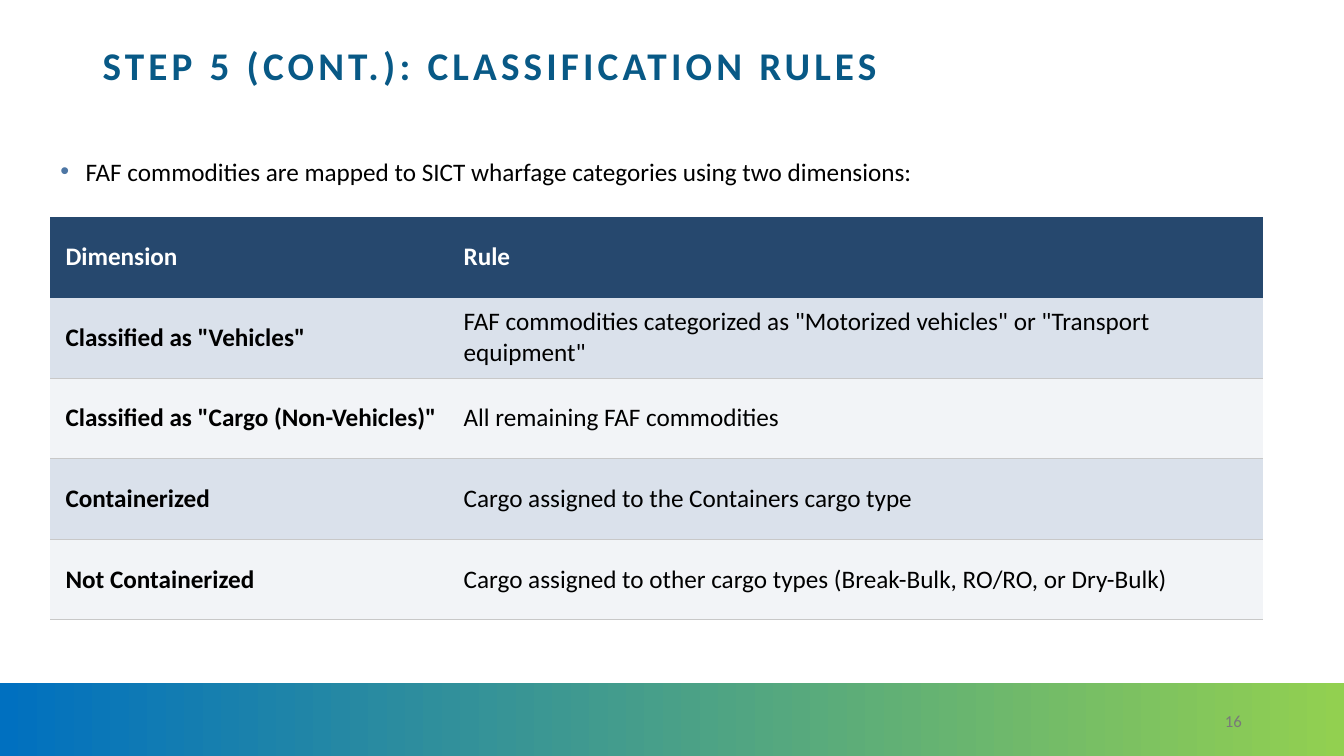
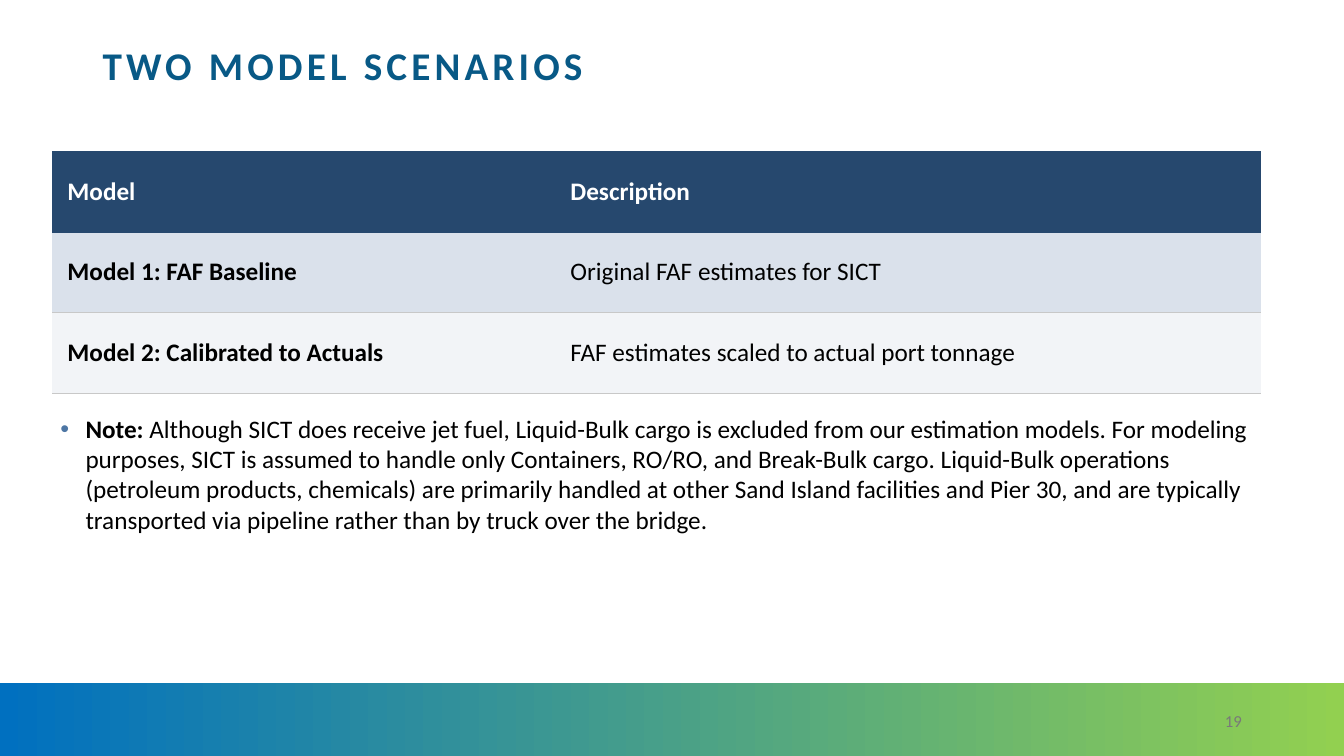
"""Build two slides on freight classification rules and model scenarios."""
from dataclasses import dataclass

from lxml import etree
from pptx import Presentation
from pptx.dml.color import RGBColor
from pptx.enum import shapes, text
from pptx.oxml.ns import qn
from pptx.util import Pt


@dataclass(frozen=True)
class Theme:
    font: str = "Calibri"
    title: str = "085986"
    header: str = "26486E"
    stripes: tuple = ("DAE1EB", "F2F4F7")
    rule: str = "C8C8C8"
    bullet: str = "4D76A4"
    black: str = "000000"
    white: str = "FFFFFF"
    number: str = "797979"
    band: tuple = ("0070C0", "92D050")
    title_size: int = 28
    body_size: int = 18
    number_size: int = 12


THEME = Theme()
WIDTH, HEIGHT = 960, 540
ROW_HEIGHT = 57.6

SLIDES = [
    {
        "title": "STEP 5 (CONT.): CLASSIFICATION RULES",
        "number": "16",
        "table": {
            "left": 36,
            "top": 154.8,
            "columns": (284.4, 581.8),
            "rows": [
                ("Dimension", "Rule"),
                ('Classified as "Vehicles"',
                 'FAF commodities categorized as "Motorized vehicles" or "Transport equipment"'),
                ('Classified as "Cargo (Non-Vehicles)"', "All remaining FAF commodities"),
                ("Containerized", "Cargo assigned to the Containers cargo type"),
                ("Not Containerized",
                 "Cargo assigned to other cargo types (Break-Bulk, RO/RO, or Dry-Bulk)"),
            ],
        },
        "bullet": {
            "top": 108,
            "height": 36,
            "runs": [("FAF commodities are mapped to SICT wharfage categories "
                      "using two dimensions:", False)],
        },
    },
    {
        "title": "TWO MODEL SCENARIOS",
        "number": "19",
        "table": {
            "left": 37.4,
            "top": 108,
            "columns": (359.3, 504),
            "rows": [
                ("Model", "Description"),
                ("Model 1: FAF Baseline", "Original FAF estimates for SICT"),
                ("Model 2: Calibrated to Actuals", "FAF estimates scaled to actual port tonnage"),
            ],
        },
        "bullet": {
            "top": 291.6,
            "height": 116,
            "runs": [
                ("Note:", True),
                (" Although SICT does receive jet fuel, Liquid-Bulk cargo is excluded from our "
                 "estimation models. For modeling purposes, SICT is assumed to handle only "
                 "Containers, RO/RO, and Break-Bulk cargo. Liquid-Bulk operations (petroleum "
                 "products, chemicals) are primarily handled at other Sand Island facilities and "
                 "Pier 30, and are typically transported via pipeline rather than by truck over "
                 "the bridge.", False),
            ],
        },
    },
]


def rgb(value):
    return RGBColor.from_string(value)


def add_color(parent, tag, value):
    holder = etree.SubElement(parent, qn(tag))
    etree.SubElement(holder, qn("a:srgbClr"), val=value)


def format_run(run, size, color, bold=False):
    run.font.name = THEME.font
    run.font.size = Pt(size)
    run.font.color.rgb = rgb(color)
    run.font.bold = bold


def add_text_box(slide, left, top, width, height, anchor=text.MSO_ANCHOR.TOP):
    box = slide.shapes.add_textbox(Pt(left), Pt(top), Pt(width), Pt(height))
    box.text_frame.word_wrap = True
    box.text_frame.vertical_anchor = anchor
    return box.text_frame.paragraphs[0]


def add_band(slide):
    band = slide.shapes.add_shape(
        shapes.MSO_SHAPE.RECTANGLE, 0, Pt(487.6), Pt(WIDTH), Pt(54.6))
    band.shadow.inherit = False
    band.line.fill.background()
    band.fill.gradient()
    band.fill.gradient_angle = 0
    for stop, color in zip(band.fill.gradient_stops, THEME.band):
        stop.color.rgb = rgb(color)


def add_title(slide, title):
    paragraph = add_text_box(slide, 66.2, 28.8, 828, 38.9, text.MSO_ANCHOR.MIDDLE)
    paragraph.text = title
    paragraph.line_spacing = 0.9
    run = paragraph.runs[0]
    format_run(run, THEME.title_size, THEME.title, True)
    run.font._element.set("spc", "300")


def add_number(slide, number):
    paragraph = add_text_box(slide, 678.2, 500.4, 216, 28.8, text.MSO_ANCHOR.MIDDLE)
    paragraph.text = number
    paragraph.alignment = text.PP_ALIGN.RIGHT
    format_run(paragraph.runs[0], THEME.number_size, THEME.number)


def add_bullet(slide, top, height, runs):
    paragraph = add_text_box(slide, 36, top, 888, height)
    paragraph.space_after = Pt(8)
    properties = paragraph._p.get_or_add_pPr()
    properties.set("marL", str(Pt(18)))
    properties.set("indent", str(-Pt(18)))
    add_color(properties, "a:buClr", THEME.bullet)
    etree.SubElement(properties, qn("a:buFont"), typeface="Arial")
    etree.SubElement(properties, qn("a:buChar"), char="•")
    for words, bold in runs:
        run = paragraph.add_run()
        run.text = words
        format_run(run, THEME.body_size, THEME.black, bold)


def set_bottom_border(cell, color, width):
    border = etree.Element(qn("a:lnB"), w=str(Pt(width)))
    add_color(border, "a:solidFill", color)
    cell._tc.get_or_add_tcPr().insert(0, border)


def add_table(slide, left, top, columns, rows):
    frame = slide.shapes.add_table(
        len(rows), len(columns), Pt(left), Pt(top),
        Pt(sum(columns)), Pt(ROW_HEIGHT * len(rows)))
    no_grid_style = "{2D5ABB26-0587-4C30-8999-92F81FD0307C}"
    frame._element.find(".//" + qn("a:tableStyleId")).text = no_grid_style
    table = frame.table
    for column, width in zip(table.columns, columns):
        column.width = Pt(width)
    for row_index, row in enumerate(rows):
        table.rows[row_index].height = Pt(ROW_HEIGHT)
        is_header = row_index == 0
        is_last = row_index == len(rows) - 1
        fill = THEME.header if is_header else THEME.stripes[(row_index - 1) % 2]
        color = THEME.white if is_header else THEME.black
        border = (THEME.header, 1.5) if is_header else (THEME.rule, 0.75 if is_last else 0.5)
        for column_index, words in enumerate(row):
            cell = table.cell(row_index, column_index)
            cell.text_frame.text = words
            cell.vertical_anchor = text.MSO_ANCHOR.MIDDLE
            cell.margin_left, cell.margin_right = Pt(10.8), Pt(7.2)
            cell.margin_top = cell.margin_bottom = Pt(4.3)
            cell.fill.solid()
            cell.fill.fore_color.rgb = rgb(fill)
            set_bottom_border(cell, *border)
            format_run(cell.text_frame.paragraphs[0].runs[0], THEME.body_size, color,
                       is_header or column_index == 0)


def main():
    presentation = Presentation()
    presentation.slide_width, presentation.slide_height = Pt(WIDTH), Pt(HEIGHT)
    for content in SLIDES:
        slide = presentation.slides.add_slide(presentation.slide_layouts[6])
        add_band(slide)
        add_title(slide, content["title"])
        add_table(slide, **content["table"])
        add_bullet(slide, **content["bullet"])
        add_number(slide, content["number"])
    presentation.save("out.pptx")


if __name__ == "__main__":
    main()
